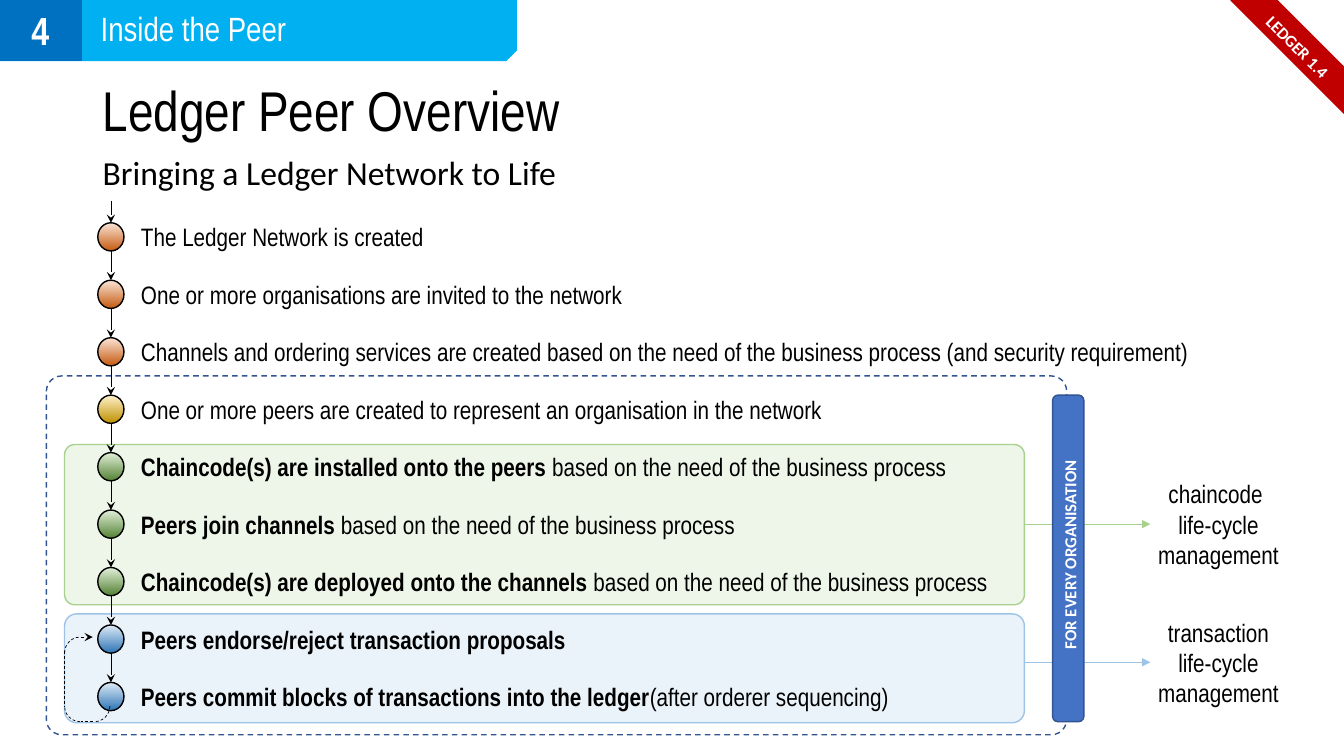
from dataclasses import dataclass
from typing import Optional

import lxml.etree
import pptx
import pptx.dml.color
import pptx.enum.dml
import pptx.enum.shapes
import pptx.enum.text
import pptx.oxml.ns
import pptx.util

RGBColor = pptx.dml.color.RGBColor
Kind = pptx.enum.shapes.MSO_SHAPE
Align = pptx.enum.text.PP_ALIGN
Anchor = pptx.enum.text.MSO_ANCHOR
Pt = pptx.util.Pt
qn = pptx.oxml.ns.qn

BLACK = RGBColor(0x00, 0x00, 0x00)
WHITE = RGBColor(0xFF, 0xFF, 0xFF)
RED = RGBColor(0xC0, 0x00, 0x00)
SKY = RGBColor(0x00, 0xB0, 0xF0)
BLUE = RGBColor(0x00, 0x70, 0xC0)
NAVY = RGBColor(0x32, 0x54, 0x91)
BAR = RGBColor(0x44, 0x72, 0xC4)
MINT = RGBColor(0xE2, 0xF0, 0xD9)
LEAF = RGBColor(0xA9, 0xD1, 0x8E)
ICE = RGBColor(0xDE, 0xEB, 0xF7)
POOL = RGBColor(0x9D, 0xC3, 0xE6)
ORANGE = (RGBColor(0xFB, 0xE5, 0xD6), RGBColor(0xC5, 0x5A, 0x11))
GOLD = (RGBColor(0xFF, 0xF2, 0xCC), RGBColor(0xBF, 0x90, 0x00))
GREEN = (MINT, RGBColor(0x54, 0x82, 0x35))
AZURE = (ICE, RGBColor(0x2E, 0x75, 0xB6))
NARROW, ROUND = "Arial Narrow", "Calibri"

COLS, ROWS = 13.33, 7.5
WIDE, TALL = pptx.util.Inches(COLS), pptx.util.Inches(ROWS)
AXIS, FIRST, PITCH = 1.1, 2.21, 0.57
DOT_W, DOT_H = 0.26, 0.28
LEFT, RIGHT, TIP = 0.64, 10.16, 11.41
CURVE = 0.31


@dataclass
class Box:
    left: float
    top: float
    wide: float
    tall: float


@dataclass
class Style:
    size: int
    face: str = NARROW
    hue: RGBColor = BLACK
    bold: bool = False
    align: Optional[Align] = None


@dataclass
class Band:
    top: float
    tall: float
    fill: RGBColor
    edge: RGBColor
    bend: float
    mid: float
    label: str


@dataclass
class Step:
    bold: str
    plain: str
    wide: float
    hues: tuple


PHASES = [
    Band(4.41, 1.59, MINT, LEAF, 0.064, 5.2, "chaincode \nlife-cycle management"),
    Band(6.09, 1.08, ICE, POOL, 0.111, 6.57, "transaction life-cycle management"),
]
NEED = "based on the need of the business process"
STEPS = [
    Step("", "The Ledger Network is created", 3.3, ORANGE),
    Step("", "One or more organisations are invited to the network", 5.04, ORANGE),
    Step("", f"Channels and ordering services are created {NEED} (and security requirement)", 10.67, ORANGE),
    Step("", "One or more peers are created to represent an organisation in the network", 7.04, GOLD),
    Step("Chaincode(s) are installed onto the peers", f" {NEED}", 8.29, GREEN),
    Step("Peers join channels ", NEED, 6.17, GREEN),
    Step("Chaincode(s) are deployed onto the channels", f" {NEED}", 8.7, GREEN),
    Step("Peers endorse/reject transaction proposals", "", 4.47, AZURE),
    Step("Peers commit blocks of transactions into the ledger", "(after orderer sequencing)", 7.7, AZURE),
]

deck = pptx.Presentation()
deck.slide_width, deck.slide_height = WIDE, TALL
slide = deck.slides.add_slide(deck.slide_layouts[6])


def col(count: float) -> int:
    return round(WIDE * count / COLS)


def row(count: float) -> int:
    return round(TALL * count / ROWS)


def place(box: Box) -> tuple:
    return col(box.left), row(box.top), col(box.wide), row(box.tall)


def draw(kind: Kind, box: Box, edge: RGBColor, fill: Optional[RGBColor] = None,
         bend: Optional[float] = None, turn: int = 0, weight: float = 1, dash: bool = False):
    shape = slide.shapes.add_shape(kind, *place(box))
    shape.shadow.inherit = False
    shape.rotation = turn
    if bend is not None:
        shape.adjustments[0] = bend
    if fill is None:
        shape.fill.background()
    else:
        shape.fill.solid()
        shape.fill.fore_color.rgb = fill
    ink(shape.line, edge, weight, dash)
    return shape


def ink(line, hue: RGBColor, weight: float, dash: bool) -> None:
    line.color.rgb = hue
    line.width = Pt(weight)
    if dash:
        line.dash_style = pptx.enum.dml.MSO_LINE.DASH


def link(start: tuple, end: tuple, hue: RGBColor = BLACK, head: str = "", dash: bool = False) -> None:
    wire = slide.shapes.add_connector(pptx.enum.shapes.MSO_CONNECTOR.STRAIGHT,
                                      col(start[0]), row(start[1]), col(end[0]), row(end[1]))
    ink(wire.line, hue, 0.5, dash)
    props = wire.element.spPr
    if head:
        lxml.etree.SubElement(props.find(qn("a:ln")), qn("a:tailEnd"), type=head)
    lxml.etree.SubElement(props, qn("a:effectLst"))


def dress(part, style: Style) -> None:
    part.font.size = Pt(style.size)
    part.font.name = style.face
    part.font.color.rgb = style.hue
    part.font.bold = style.bold
    part.alignment = style.align


def write(box: Box, text: str, style: Style, wrap: bool = False, turn: int = 0):
    label = slide.shapes.add_textbox(*place(box))
    label.rotation = turn
    frame = label.text_frame
    frame.word_wrap = wrap
    frame.auto_size = pptx.enum.text.MSO_AUTO_SIZE.SHAPE_TO_FIT_TEXT
    frame.text = text
    for part in frame.paragraphs:
        dress(part, style)
    return frame


def stamp(shape, text: str, style: Style) -> None:
    frame = shape.text_frame
    frame.vertical_anchor = Anchor.MIDDLE
    frame.text = text
    dress(frame.paragraphs[0], style)


def phase(band: Band) -> None:
    panel = draw(Kind.ROUNDED_RECTANGLE, Box(LEFT, band.top, RIGHT - LEFT, band.tall),
                 band.edge, band.fill, band.bend)
    tint = panel.element.spPr.find(qn("a:solidFill"))[0]
    lxml.etree.SubElement(tint, qn("a:alpha"), val="60000")
    link((RIGHT, band.mid), (TIP, band.mid), band.edge, "triangle")
    write(Box(11.31, band.mid - 0.5, 1.55, 1.01), band.label, Style(18, align=Align.CENTER), wrap=True)


def stage(rank: int, step: Step) -> None:
    top = FIRST + rank * PITCH
    start = top - PITCH + DOT_H if rank else 1.99
    link((AXIS, start), (AXIS, top), head="stealth")
    dot = draw(Kind.OVAL, Box(AXIS - DOT_W / 2, top, DOT_W, DOT_H), BLACK, WHITE)
    dot.fill.gradient()
    dot.fill.gradient_angle = 270
    for stop, hue in zip(dot.fill.gradient_stops, step.hues):
        stop.color.rgb = hue
    mixed = bool(step.bold and step.plain)
    frame = write(Box(1.3, top - 0.06, step.wide, 0.4), step.bold or step.plain,
                  Style(18, bold=bool(step.bold)))
    if mixed:
        tail = frame.paragraphs[0].add_run()
        tail.text = step.plain
        tail.font.bold = False


for band in PHASES:
    phase(band)

title = write(Box(0.92, 0.4, 11.5, 1.45), "Ledger Peer Overview", Style(40), wrap=True)
title.auto_size = pptx.enum.text.MSO_AUTO_SIZE.NONE
title.vertical_anchor = Anchor.MIDDLE
title.paragraphs[0].line_spacing = 0.9
write(Box(0.92, 1.46, 5.2, 0.5), "Bringing a Ledger Network to Life", Style(24, ROUND))

ribbon = draw(Kind.TRAPEZOID, Box(12.09, 0.29, 1.59, 0.32), RED, RED, 0.953, 45)
ribbon.text_frame.margin_top = ribbon.text_frame.margin_bottom = 0
stamp(ribbon, "LEDGER 1.4", Style(12, ROUND, WHITE, True, Align.CENTER))

banner = draw(Kind.SNIP_1_RECTANGLE, Box(-0.01, -0.01, 5.13, 0.61), SKY, SKY)
banner.element.spPr.get_or_add_xfrm().set("flipV", "1")
write(Box(0.9, 0.03, 2.07, 0.5), "Inside the Peer", Style(24, hue=WHITE))
badge = draw(Kind.RECTANGLE, Box(-0.01, -0.01, 0.82, 0.61), BLUE, BLUE)
stamp(badge, "4", Style(28, hue=WHITE, bold=True, align=Align.CENTER))

for rank, step in enumerate(STEPS):
    stage(rank, step)

draw(Kind.ROUNDED_RECTANGLE, Box(0.46, 3.73, 10.12, 3.56), NAVY, bend=0.043, dash=True)
for left, top, turn in [(0.78, 6.85, 90), (LEFT, 6.85, 180), (LEFT, 6.32, 270)]:
    draw(Kind.ARC, Box(left, top, CURVE, CURVE), BLACK, turn=turn, weight=0.5, dash=True)
link((LEFT, 6.46), (LEFT, 7.01), dash=True)
link((0.92, 7.16), (0.8, 7.16), dash=True)
link((0.8, 6.32), (0.92, 6.32), head="stealth", dash=True)

draw(Kind.ROUNDED_RECTANGLE, Box(10.44, 3.92, 0.31, 3.24), NAVY, BAR)
write(Box(9.56, 5.34, 2.1, 0.3), "FOR EVERY ORGANISATION", Style(12, ROUND, WHITE, True), turn=270)

deck.save("out.pptx")
